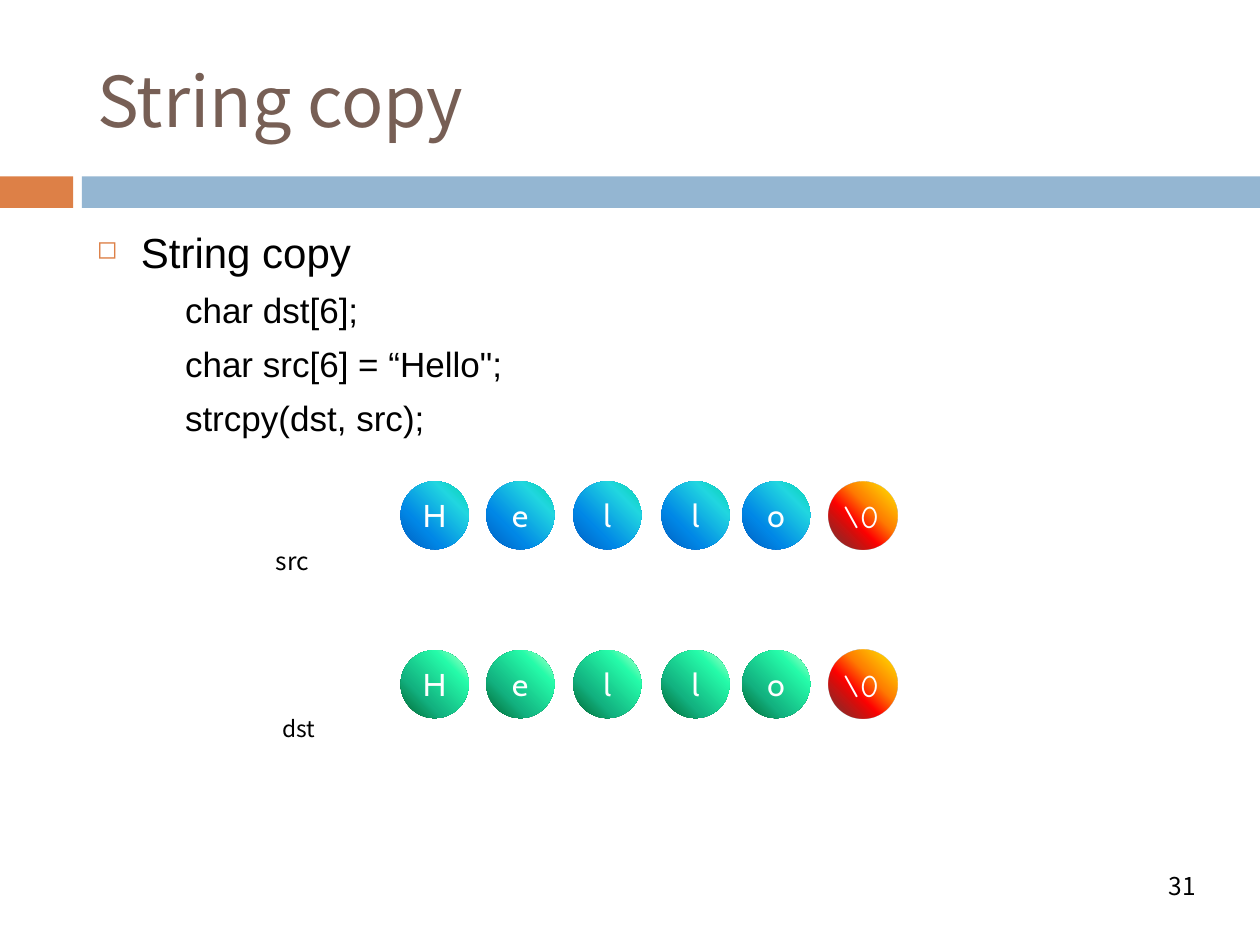
from dataclasses import dataclass

from lxml.etree import SubElement
from pptx import Presentation
from pptx.dml.color import RGBColor
from pptx.enum.shapes import MSO_SHAPE
from pptx.enum.text import MSO_ANCHOR, PP_ALIGN
from pptx.oxml import parse_xml
from pptx.oxml.ns import nsdecls, qn
from pptx.util import Inches, Pt


@dataclass(frozen=True)
class Theme:
    heading: str = "775F55"
    accent: str = "DD8047"
    band: str = "94B6D2"
    ink: str = "000000"
    light: str = "FFFFFF"
    main_font: str = "Noto Sans CJK KR"
    body_font: str = "Arial"
    letter_font: str = "Cabin"
    terminator_font: str = "Comic Neue"
    title_size: float = 40
    topic_size: float = 24
    code_size: float = 20
    letter_size: float = 18
    label_size: float = 14
    small_label_size: float = 13
    # Each stop: position in percent, colour, opacity in percent
    blue: tuple = ((0, "03D4A8", 100), (25, "21D6E0", 100),
                   (68, "0087E6", 100), (100, "005CBF", 100))
    green: tuple = ((0, "CCFFCC", 100), (25, "25FBA9", 100),
                    (68, "12B280", 100), (100, "00642D", 100))
    fire: tuple = ((0, "FFF200", 100), (40, "FF7A00", 100),
                   (60, "FF0300", 100), (100, "4D0808", 80))


class SlideBuilder:
    """Places elements by left, top, width and height in percent of the slide."""

    def __init__(self, deck, theme):
        self.deck = deck
        self.theme = theme
        self.page = deck.slides.add_slide(deck.slide_layouts[5])

    def area(self, left, top, width, height):
        across, down = self.deck.slide_width, self.deck.slide_height
        return [round(share * side / 100) for share, side in
                ((left, across), (top, down), (width, across), (height, down))]

    def format(self, para, font, size, color, align=PP_ALIGN.LEFT):
        para.alignment = align
        for span in para.runs:
            span.font.name = font
            span.font.size = Pt(size)
            span.font.color.rgb = RGBColor.from_string(color)

    def title(self, text, *place):
        box = self.page.shapes.title
        box.left, box.top, box.width, box.height = self.area(*place)
        box.text_frame.text = text
        box.text_frame.vertical_anchor = MSO_ANCHOR.MIDDLE
        self.format(box.text_frame.paragraphs[0], self.theme.main_font,
                    self.theme.title_size, self.theme.heading)

    def shape(self, kind, *place):
        shape = self.page.shapes.add_shape(kind, *self.area(*place))
        shape.shadow.inherit = False
        shape.line.fill.background()
        return shape

    def bar(self, color, *place):
        bar = self.shape(MSO_SHAPE.RECTANGLE, *place)
        bar.fill.solid()
        bar.fill.fore_color.rgb = RGBColor.from_string(color)

    def text(self, text, font, size, color, *place,
             align=PP_ALIGN.LEFT, anchor=MSO_ANCHOR.TOP):
        box = self.page.shapes.add_textbox(*self.area(*place))
        frame = box.text_frame
        frame.word_wrap = True
        frame.vertical_anchor = anchor
        frame.text = text
        for para in frame.paragraphs:
            self.format(para, font, size, color, align)
        return frame

    def code_list(self, topic, lines, *place):
        """A bulleted topic with unbulleted code lines indented below it."""
        theme = self.theme
        frame = self.text("\n".join([topic, *lines]), theme.body_font,
                          theme.code_size, theme.ink, *place)
        first, *code = frame.paragraphs
        self.bullet(first)
        self.format(first, theme.body_font, theme.topic_size, theme.ink)
        for para in code:
            para.space_before = Pt(6.7)
            para._p.get_or_add_pPr().set("marL", str(Inches(0.7)))

    def bullet(self, para):
        props = para._p.get_or_add_pPr()
        props.set("marL", str(Inches(0.35)))
        props.set("indent", str(-Inches(0.35)))
        color = SubElement(props, qn("a:buClr"))
        SubElement(color, qn("a:srgbClr"), val=self.theme.accent)
        SubElement(props, qn("a:buSzPct"), val="60000")
        SubElement(props, qn("a:buChar"), char="◻")

    def ball(self, gradient, *place):
        """A circle lit from its top right corner."""
        ball = self.shape(MSO_SHAPE.OVAL, *place)
        stops = "".join(
            f'<a:gs pos="{position * 1000}"><a:srgbClr val="{color}">'
            f'<a:alpha val="{opacity * 1000}"/></a:srgbClr></a:gs>'
            for position, color, opacity in gradient)
        ball.fill.background()
        props = ball._element.spPr
        props.replace(props.find(qn("a:noFill")), parse_xml(
            f'<a:gradFill {nsdecls("a")} rotWithShape="1"><a:gsLst>{stops}</a:gsLst>'
            '<a:path path="circle"><a:fillToRect l="100000" b="100000"/></a:path>'
            '</a:gradFill>'))
        return ball

    def character_row(self, word, gradient, top):
        """One ball per letter, then the string terminator."""
        theme = self.theme
        *lefts, last = (31.8, 38.6, 45.5, 52.5, 58.9, 65.8)
        size = (5.4, 7.2)
        for letter, left in zip(word, lefts):
            frame = self.ball(gradient, left, top, *size).text_frame
            frame.word_wrap = False
            frame.vertical_anchor = MSO_ANCHOR.MIDDLE
            frame.text = letter
            self.format(frame.paragraphs[0], theme.letter_font,
                        theme.letter_size, theme.light, PP_ALIGN.CENTER)
        self.ball(theme.fire, last, top, *size)
        self.text("\\0", theme.terminator_font, theme.letter_size, theme.light,
                  last + 0.1, top + 1, 7, 7.3)


def main():
    deck = Presentation()
    deck.slide_width, deck.slide_height = Inches(10), Inches(7.5)
    theme = Theme()
    slide = SlideBuilder(deck, theme)

    slide.bar(theme.accent, 0, 18.67, 5.8, 3.33)
    slide.bar(theme.band, 6.5, 18.67, 93.5, 3.33)
    slide.title("String copy", 6.7, 3.33, 89.2, 14.4)
    slide.code_list("String copy",
                    ["char dst[6];", "char src[6] = “Hello\";", "strcpy(dst, src);"],
                    6.7, 23.33, 89.2, 65.6)

    slide.text("src", theme.main_font, theme.label_size, theme.ink,
               20.9, 57.07, 5.7, 5.6)
    slide.text("dst", theme.main_font, theme.small_label_size, theme.ink,
               21.4, 74.93, 5.7, 5.33)
    slide.character_row("Hello", theme.blue, 50.93)
    slide.character_row("Hello", theme.green, 68.8)

    slide.text("31", theme.main_font, theme.label_size, theme.ink,
               68.1, 91.07, 27.8, 5.33,
               align=PP_ALIGN.RIGHT, anchor=MSO_ANCHOR.MIDDLE)
    deck.save("out.pptx")


if __name__ == "__main__":
    main()
